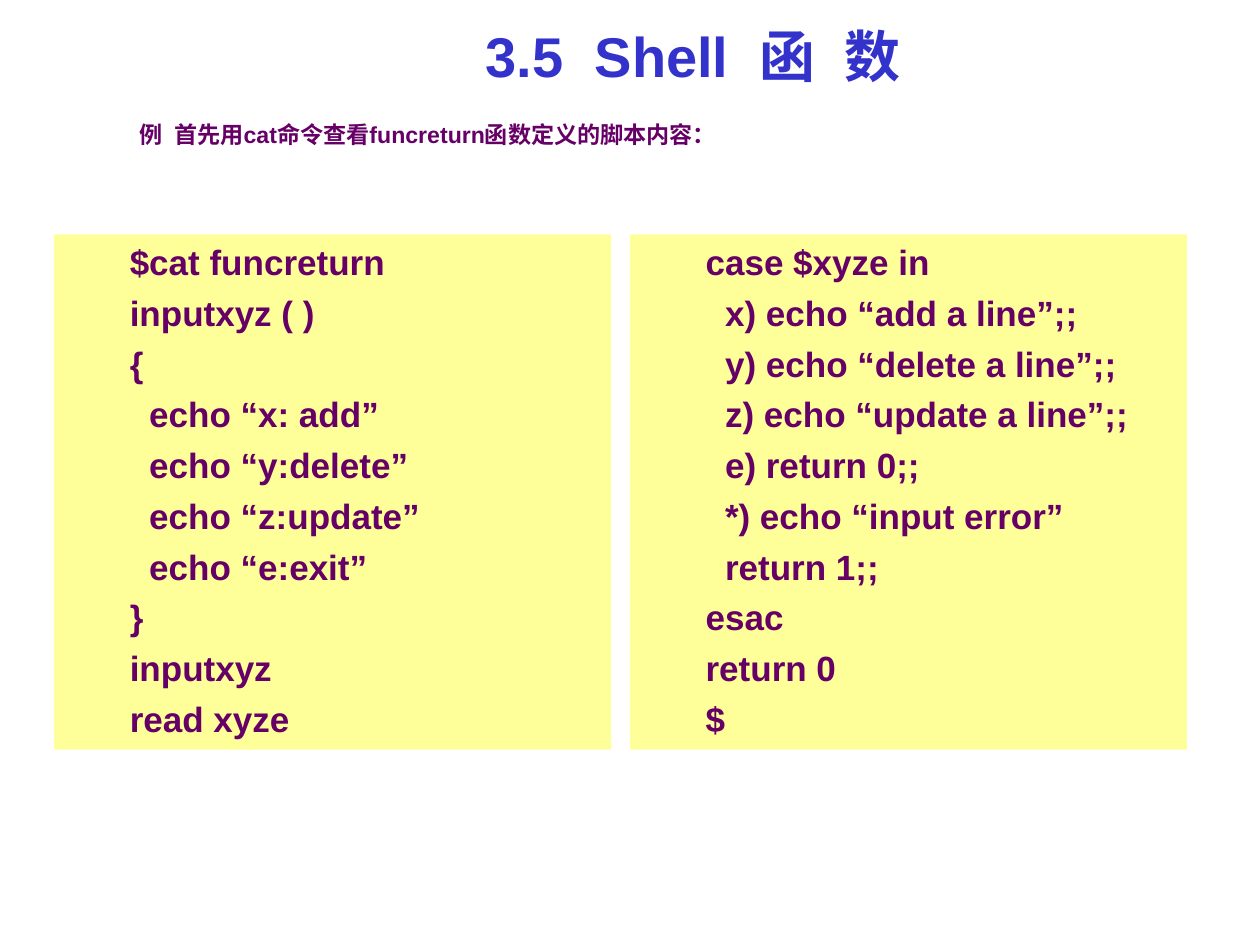
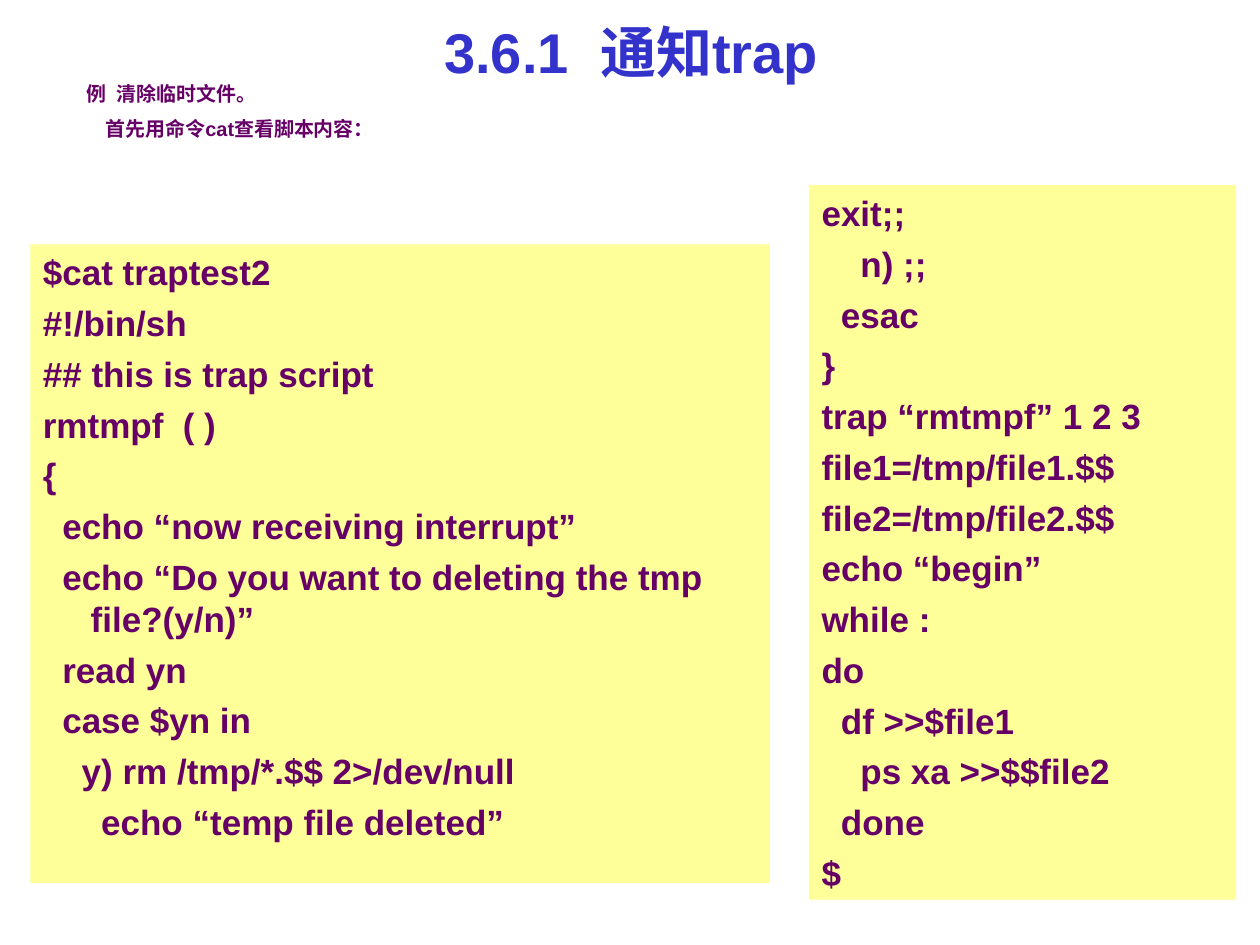
from dataclasses import dataclass

from lxml import etree
from pptx import Presentation
from pptx import util as u
from pptx.dml.color import RGBColor
from pptx.enum import text
from pptx.oxml import ns


@dataclass(frozen=True)
class Theme:
    """Colours, type sizes and grid shared by the slides."""
    font: str = "Arial"
    title: str = "3333CC"
    body: str = "660066"
    panel: str = "FFFF99"
    title_size: float = 32
    code_size: float = 20
    columns: int = 100
    rows: int = 75
    leading: float = 1.2
    space_width: float = 0.278


THEME = Theme()
WIDTH, HEIGHT = u.Inches(10), u.Inches(7.5)

FUNCTION_LEFT = """$cat funcreturn
inputxyz ( )
{
  echo “x: add”
  echo “y:delete”
  echo “z:update”
  echo “e:exit”
}
inputxyz
read xyze"""

FUNCTION_RIGHT = """case $xyze in
  x) echo “add a line”;;
  y) echo “delete a line”;;
  z) echo “update a line”;;
  e) return 0;;
  *) echo “input error”
  return 1;;
esac
return 0
$"""

TRAP_LEFT = """$cat traptest2
#!/bin/sh
## this is trap script
rmtmpf  ( )
{
  echo “now receiving interrupt”
  echo “Do you want to deleting the tmp file?(y/n)”
  read yn
  case $yn in
    y) rm /tmp/*.$$ 2>/dev/null
      echo “temp file deleted”"""

TRAP_RIGHT = """exit;;
    n) ;;
  esac
}
trap “rmtmpf” 1 2 3
file1=/tmp/file1.$$
file2=/tmp/file2.$$
echo “begin”
while :
do
  df >>$file1
    ps xa >>$$file2
  done
$"""


def grid(box):
    """Turn left, top, width and height in grid units into lengths."""
    col, row = WIDTH / THEME.columns, HEIGHT / THEME.rows
    return [u.Emu(round(n * step)) for n, step in zip(box, (col, row, col, row))]


def place(sp, box):
    """Move a shape to its box on the grid."""
    sp.left, sp.top, sp.width, sp.height = grid(box)


def add_run(p, words, size, color):
    """Add one bold run in the theme font."""
    r = p.add_run()
    r.text = words
    r.font.name, r.font.size, r.font.bold = THEME.font, u.Pt(size), True
    r.font.color.rgb = RGBColor.from_string(color)
    return r


def add_parts(p, parts, size, color):
    """Add runs separated by double-width spaces."""
    for i, part in enumerate(parts):
        if i:
            gap = add_run(p, " ", size, color)
            gap._r.get_or_add_rPr().set("spc", str(round(100 * size * THEME.space_width)))
        add_run(p, part, size, color)


def format_line(p, size, margin, indent, before):
    """Set the indents and spacing of a line without a bullet."""
    pPr = p._p.get_or_add_pPr()
    pPr.set("marL", str(u.Inches(margin)))
    pPr.set("indent", str(u.Inches(indent)))
    etree.SubElement(pPr, ns.qn("a:buNone"))
    p.line_spacing = u.Pt(round(size * THEME.leading, 1))
    p.space_before = u.Pt(before)


def paragraphs(tf, count):
    """Return the first paragraph and as many new ones as needed."""
    return [tf.paragraphs[0]] + [tf.add_paragraph() for _ in range(count - 1)]


def add_title(s, parts, box):
    """Fill the title placeholder."""
    sp = s.shapes.title
    place(sp, box)
    tf = sp.text_frame
    tf.auto_size = text.MSO_AUTO_SIZE.NONE
    tf.vertical_anchor = text.MSO_ANCHOR.MIDDLE
    p = tf.paragraphs[0]
    p.alignment = text.PP_ALIGN.CENTER
    add_parts(p, parts, THEME.title_size, THEME.title)


def add_intro(s, lines, box, size):
    """Add the introductory lines, each given as an indent and its parts."""
    tf = s.shapes.add_textbox(*grid(box)).text_frame
    tf.word_wrap = True
    for i, (p, (indent, parts)) in enumerate(zip(paragraphs(tf, len(lines)), lines)):
        format_line(p, size, indent, 0, 6 if i else 0)
        add_parts(p, parts, size, THEME.body)


def fill_code(sp, code, box, margin, indent):
    """Fill a body placeholder with a listing on a coloured panel."""
    place(sp, box)
    sp.fill.solid()
    sp.fill.fore_color.rgb = RGBColor.from_string(THEME.panel)
    tf = sp.text_frame
    tf.word_wrap = True
    tf.auto_size = text.MSO_AUTO_SIZE.NONE
    tf.vertical_anchor = text.MSO_ANCHOR.TOP
    lines = code.splitlines()
    for i, (p, line) in enumerate(zip(paragraphs(tf, len(lines)), lines)):
        format_line(p, THEME.code_size, margin, indent, 5 if i else 0)
        add_run(p, line, THEME.code_size, THEME.body)


def add_code_slide(prs, title, title_box, intro, intro_box, intro_size, panels, margin, indent):
    """Add a slide with a title, an introduction and two listings."""
    s = prs.slides.add_slide(prs.slide_layouts[3])
    add_title(s, title, title_box)
    add_intro(s, intro, intro_box, intro_size)
    for idx, (code, box) in enumerate(panels, 1):
        fill_code(s.placeholders[idx], code, box, margin, indent)


def main():
    """Build both slides and save the presentation."""
    prs = Presentation()
    prs.slide_width, prs.slide_height = WIDTH, HEIGHT
    add_code_slide(
        prs, ["3.5", "Shell", "函", "数"], (10, 0, 90, 8.7),
        [(0.5, ["例", "首先用cat命令查看funcreturn函数定义的脚本内容："])],
        (5.1, 9.1, 91.3, 6.3), 13.2,
        [(FUNCTION_LEFT, (4.3, 18.6, 44.2, 40.9)),
         (FUNCTION_RIGHT, (50, 18.6, 44.2, 40.9))],
        0.81, -0.31)
    add_code_slide(
        prs, ["3.6.1", "通知trap"], (5.1, -0.3, 90, 8.7),
        [(0, ["例", "清除临时文件。"]), (0.15, ["首先用命令cat查看脚本内容："])],
        (5.9, 6, 90, 11), 11.4,
        [(TRAP_LEFT, (2.4, 19.4, 58.7, 50.7)),
         (TRAP_RIGHT, (64.2, 14.7, 33.9, 56.7))],
        0.38, -0.38)
    prs.save("out.pptx")


if __name__ == "__main__":
    main()
